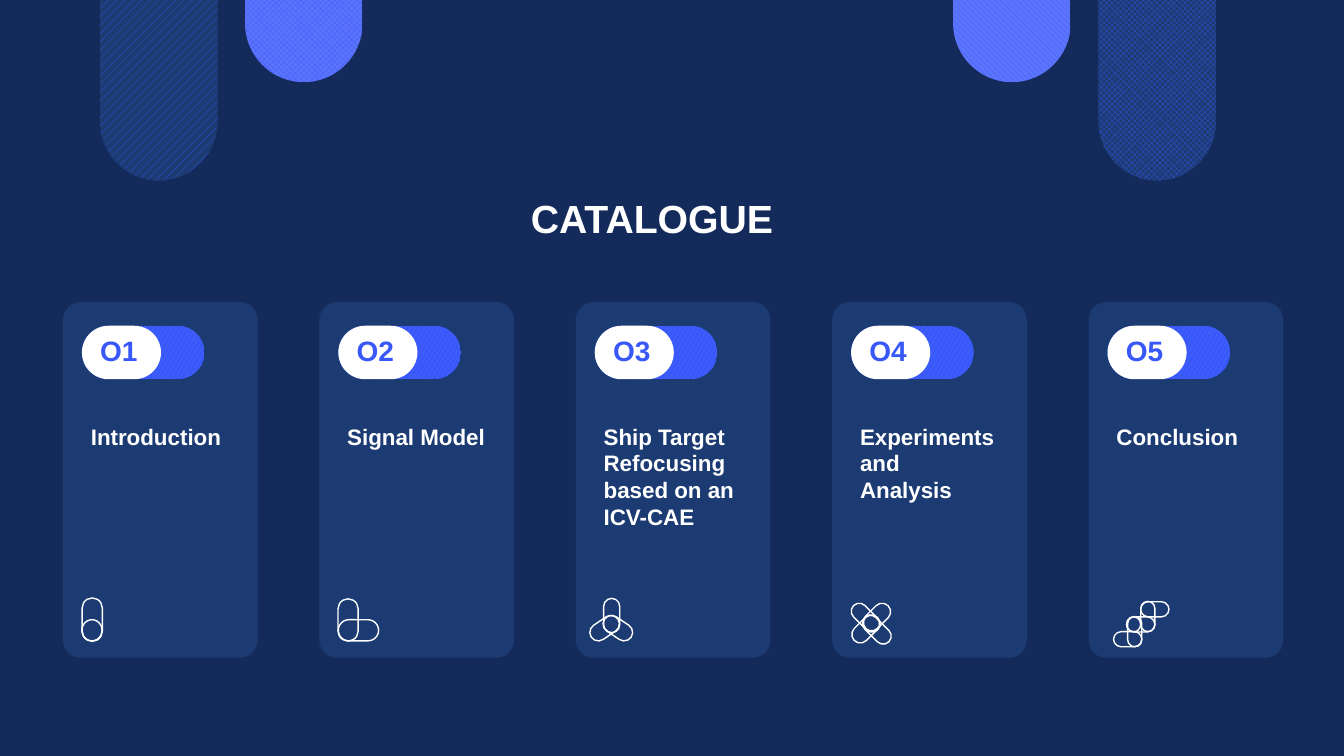
from dataclasses import dataclass

from lxml import etree
from pptx import Presentation
from pptx.dml.color import RGBColor
from pptx.enum.dml import MSO_PATTERN
from pptx.enum.shapes import MSO_SHAPE
from pptx.enum.text import MSO_ANCHOR, MSO_AUTO_SIZE, PP_ALIGN
from pptx.oxml.ns import qn
from pptx.util import Pt

PILL = MSO_SHAPE.ROUNDED_RECTANGLE
RING = MSO_SHAPE.OVAL
CONFETTI = MSO_PATTERN.LARGE_CONFETTI
DIAMONDS = MSO_PATTERN.OUTLINED_DIAMOND
DASHES = MSO_PATTERN.DASHED_UPWARD_DIAGONAL
CHECKS = MSO_PATTERN.SOLID_DIAMOND
STRIPES = MSO_PATTERN.WIDE_DOWNWARD_DIAGONAL
MIDDLE = MSO_ANCHOR.MIDDLE
NO_FIT = MSO_AUTO_SIZE.NONE
JUSTIFY = PP_ALIGN.JUSTIFY


@dataclass(frozen=True)
class Theme:
    navy: str = "142A5B"
    panel: str = "1C3B72"
    blue: str = "3858FA"
    light: str = "5C73FB"
    white: str = "FFFFFF"
    font: str = "Arial"
    title: int = 28
    number: int = 20
    heading: int = 16


T = Theme()
TITLE = "CATALOGUE"

CARDS = [
    ("O1", "Introduction", [
        (PILL, 20.9, 226.8, 31, 14.4, 270),
        (RING, 20.7, 234.4, 14.4, 15.1, 0),
    ]),
    ("O2", "Signal Model", [
        (PILL, 27.9, 234.4, 28.8, 15.1, 0),
        (PILL, 20.5, 227, 30.2, 14.4, 270),
    ]),
    ("O3", "Ship Target Refocusing based on an ICV-CAE", [
        (PILL, 30, 232.9, 23, 12.2, 34),
        (PILL, 20.6, 232.9, 23, 12.2, 326),
        (PILL, 25.6, 223.9, 24.5, 11.5, 90),
    ]),
    ("O4", "Experiments and\nAnalysis", [
        (PILL, 23.9, 233.6, 23, 12.2, 315),
        (PILL, 31.8, 225, 23, 12.2, 315),
        (PILL, 31.8, 234, 24.5, 11.5, 45),
        (PILL, 23.9, 225.4, 24.5, 11.5, 45),
        (RING, 28.2, 229.3, 11.5, 12.2, 315),
    ]),
    ("O5", "Conclusion", [
        (PILL, 47.3, 219.4, 20.2, 10.8, 0),
        (PILL, 42.3, 224.6, 21.6, 10.1, 90),
        (PILL, 37.2, 230.2, 20.2, 10.8, 0),
        (PILL, 27.9, 240.8, 20.2, 10.8, 0),
        (PILL, 32.9, 235.4, 21.6, 10.1, 90),
        (RING, 32.2, 230.2, 10.1, 10.8, 0),
    ]),
]

TABS = [
    (784.6, 129, DIAMONDS, T.panel),
    (71.4, 129, DASHES, T.panel),
    (175, 58.7, CHECKS, T.light),
    (680.8, 58.7, STRIPES, T.light),
]
TAB_W = 84
ARC_HANDLE = 0.55
CARD_X, CARD_Y, CARD_W, CARD_H, PITCH = 45, 215.8, 139, 254, 183.15


def rgb(value):
    return RGBColor.from_string(value)


def solid(fill, color):
    fill.solid()
    fill.fore_color.rgb = rgb(color)


def patterned(fill, pattern, fore, back):
    fill.patterned()
    fill.pattern = pattern
    fill.fore_color.rgb = rgb(fore)
    fill.back_color.rgb = rgb(back)


def add_shape(shapes, kind, x, y, w, h, radius=0.5):
    sp = shapes.add_shape(kind, Pt(x), Pt(y), Pt(w), Pt(h))
    sp.shadow.inherit = False
    sp.line.fill.background()
    if kind == PILL:
        sp.adjustments[0] = radius
    return sp


def style_text(tf, size, color):
    for p in tf.paragraphs:
        for r in p.runs:
            r.font.name = T.font
            r.font.size = Pt(size)
            r.font.bold = True
            r.font.color.rgb = rgb(color)


def add_text(shapes, text, x, y, w, h, size, color):
    tf = shapes.add_textbox(Pt(x), Pt(y), Pt(w), Pt(h)).text_frame
    tf.word_wrap = True
    tf.text = text
    style_text(tf, size, color)


def add_tab(shapes, x, h, pattern, back):
    radius = TAB_W / 2
    handle = radius * ARC_HANDLE
    mid, right, side = x + radius, x + TAB_W, h - radius
    points = [(right, 0), (right, side),
              (right, side + handle), (mid + handle, h), (mid, h),
              (mid - handle, h), (x, side + handle), (x, side)]
    builder = shapes.build_freeform(Pt(x), 0)
    builder.add_line_segments([(Pt(px), Pt(py)) for px, py in points])
    sp = builder.convert_to_shape()
    lines = list(sp._element.iter(qn("a:lnTo")))
    for start in (2, 5):
        curve = etree.Element(qn("a:cubicBezTo"))
        lines[start].addprevious(curve)
        for line in lines[start:start + 3]:
            curve.append(line[0])
            line.getparent().remove(line)
    sp.shadow.inherit = False
    sp.line.fill.background()
    patterned(sp.fill, pattern, T.blue, back)


def add_shadow(sp):
    effects = sp._element.spPr.find(qn("a:effectLst"))
    shadow = etree.SubElement(effects, qn("a:outerShdw"), blurRad=str(Pt(33)),
                              dist=str(Pt(18)), dir="2700000", algn="tl", rotWithShape="0")
    color = etree.SubElement(shadow, qn("a:srgbClr"), val=T.navy)
    etree.SubElement(color, qn("a:alpha"), val="47000")


def add_card(shapes, x, number, heading, icon):
    card = add_shape(shapes, PILL, x, CARD_Y, CARD_W, CARD_H, 0.09)
    solid(card.fill, T.panel)
    add_shadow(card)
    add_text(shapes, heading, x + 12.8, CARD_Y + 82.6, 118, 106.6, T.heading, T.white)

    badge = shapes.add_group_shape().shapes
    track = add_shape(badge, PILL, x + 13.5, CARD_Y + 16.9, 87.6, 38.2)
    patterned(track.fill, CONFETTI, T.light, T.blue)
    knob = add_shape(badge, PILL, x + 13.5, CARD_Y + 16.9, 56.5, 38.2)
    solid(knob.fill, T.white)
    add_text(badge, number, x + 19.5, CARD_Y + 18.9, 44.6, 31, T.number, T.blue)

    strokes = shapes.add_group_shape().shapes
    for kind, cx, cy, w, h, rotation in icon:
        sp = add_shape(strokes, kind, x + cx - w / 2, CARD_Y + cy - h / 2, w, h)
        sp.rotation = rotation
        sp.fill.background()
        solid(sp.line.fill, T.white)
        sp.line.width = Pt(1)


def add_title(s):
    title = s.shapes.title
    title.left, title.top, title.width, title.height = Pt(372), Pt(140.4), Pt(195), Pt(23.8)
    tf = title.text_frame
    tf.text = TITLE
    tf.word_wrap = True
    tf.auto_size = NO_FIT
    tf.vertical_anchor = MIDDLE
    p = tf.paragraphs[0]
    p.alignment = JUSTIFY
    p.line_spacing = 1.2
    style_text(tf, T.title, T.white)


def main():
    prs = Presentation()
    prs.slide_width, prs.slide_height = Pt(960), Pt(540)
    s = prs.slides.add_slide(prs.slide_layouts[5])
    solid(s.background.fill, T.navy)
    add_title(s)
    for tab in TABS:
        add_tab(s.shapes, *tab)
    for i, card in enumerate(CARDS):
        add_card(s.shapes, CARD_X + i * PITCH, *card)
    prs.save("out.pptx")


if __name__ == "__main__":
    main()
